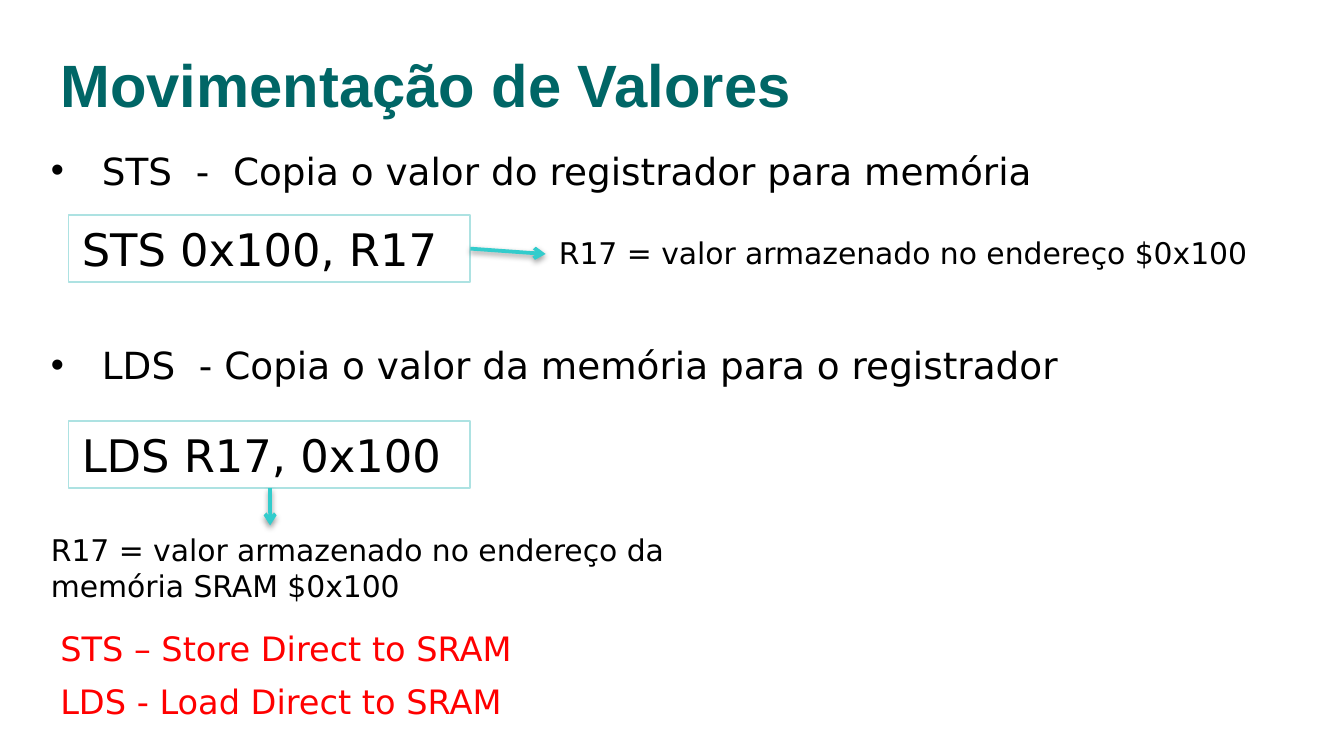
from lxml.etree import SubElement as Sub
from pptx import Presentation
from pptx.dml.color import RGBColor as RGB
from pptx.enum.shapes import MSO_CONNECTOR as LINK, MSO_SHAPE as SHAPE
from pptx.enum.text import MSO_ANCHOR as ANCHOR, MSO_AUTO_SIZE as FIT, PP_ALIGN as ALIGN
from pptx.oxml.ns import qn
from pptx.util import Inches, Pt

COLORS = {"title": "006666", "text": "000000", "red": "FF0000",
          "frame": "ADE2E2", "arrow": "33CCCC"}
BODY = "DejaVu Sans"
WIDTH = Inches(10)
HEIGHT = WIDTH * 9 // 16

# Content: text and place (left, top, width, height)
TITLE = ("Movimentação de Valores", (0.35, 0, 8, 0.94))
BULLETS = [
    ("STS  -  Copia o valor do registrador para memória", (0.28, 1.05, 7.63, 0.44)),
    ("LDS  - Copia o valor da memória para o registrador", (0.28, 2.5, 7.85, 0.44)),
]
CODES = [
    ("STS 0x100, R17", (0.51, 1.6, 2.99, 0.5)),
    ("LDS R17, 0x100", (0.51, 3.13, 2.99, 0.5)),
]
NOTES = [
    ("R17 = valor armazenado no endereço $0x100", (4.06, 1.7, 5.35, 0.37)),
    ("R17 = valor armazenado no endereço da memória SRAM $0x100",
     (0.28, 3.91, 5.35, 0.64)),
]
NAMES = [
    ("STS – Store Direct to SRAM", (0.35, 4.62, 3.68, 0.4)),
    ("LDS - Load Direct to SRAM", (0.35, 5.02, 3.61, 0.4)),
]
ARROWS = [(3.5, 1.85, 4.06, 1.89), (2.01, 3.63, 2.01, 3.91)]


def color(key):
    return RGB.from_string(COLORS[key])


def write(shape, text, size, key="text", wrap=True, bullet=False,
          face=BODY, bold=False, anchor=ANCHOR.TOP, fit=FIT.SHAPE_TO_FIT_TEXT):
    frame = shape.text_frame
    frame.text = text
    look = {"word_wrap": wrap, "vertical_anchor": anchor, "auto_size": fit}
    for name, value in look.items():
        setattr(frame, name, value)
    para = frame.paragraphs[0]
    para.alignment = ALIGN.LEFT
    if bullet:
        props = para._p.get_or_add_pPr()
        props.set("marL", str(Inches(0.38)))
        props.set("indent", str(Inches(-0.38)))
        Sub(props, qn("a:buFont"), typeface="Arial")
        Sub(props, qn("a:buChar"), char="•")
    font = para.runs[0].font
    for name, value in {"size": Pt(size), "name": face, "bold": bold}.items():
        setattr(font, name, value)
    font.color.rgb = color(key)


def add_text(slide, text, box, size, **style):
    write(slide.shapes.add_textbox(*map(Inches, box)), text, size, **style)


def add_code(slide, text, box):
    shape = slide.shapes.add_shape(SHAPE.RECTANGLE, *map(Inches, box))
    shape.shadow.inherit = False
    shape.fill.background()
    shape.line.color.rgb = color("frame")
    shape.line.width = Pt(1)
    write(shape, text, 24)


def add_arrow(slide, ends):
    link = slide.shapes.add_connector(LINK.STRAIGHT, *map(Inches, ends))
    link.line.color.rgb = color("arrow")
    link.line.width = Pt(2)
    Sub(link.line._get_or_add_ln(), qn("a:tailEnd"), type="arrow")
    # Soft shadow straight below the line
    effects = Sub(link._element.spPr, qn("a:effectLst"))
    shade = Sub(effects, qn("a:outerShdw"), blurRad=str(Pt(3.1)),
                dist=str(Pt(1.6)), dir="5400000", rotWithShape="0")
    tone = Sub(shade, qn("a:srgbClr"), val=COLORS["text"])
    Sub(tone, qn("a:alpha"), val="38000")


def main():
    deck = Presentation()
    deck.slide_width, deck.slide_height = WIDTH, HEIGHT
    slide = deck.slides.add_slide(deck.slide_layouts[5])

    # Title
    title, (text, box) = slide.shapes.title, TITLE
    for name, value in zip(("left", "top", "width", "height"), box):
        setattr(title, name, Inches(value))
    write(title, text, 32, "title", face="Arial", bold=True,
          anchor=ANCHOR.BOTTOM, fit=FIT.NONE)

    # Instructions, their code and what it does
    for text, box in BULLETS:
        add_text(slide, text, box, 20, wrap=False, bullet=True)
    for text, box in CODES:
        add_code(slide, text, box)
    for text, box in NOTES:
        add_text(slide, text, box, 16)
    for ends in ARROWS:
        add_arrow(slide, ends)

    # Full names
    for text, box in NAMES:
        add_text(slide, text, box, 18, key="red", wrap=False)

    deck.save("out.pptx")


if __name__ == "__main__":
    main()
